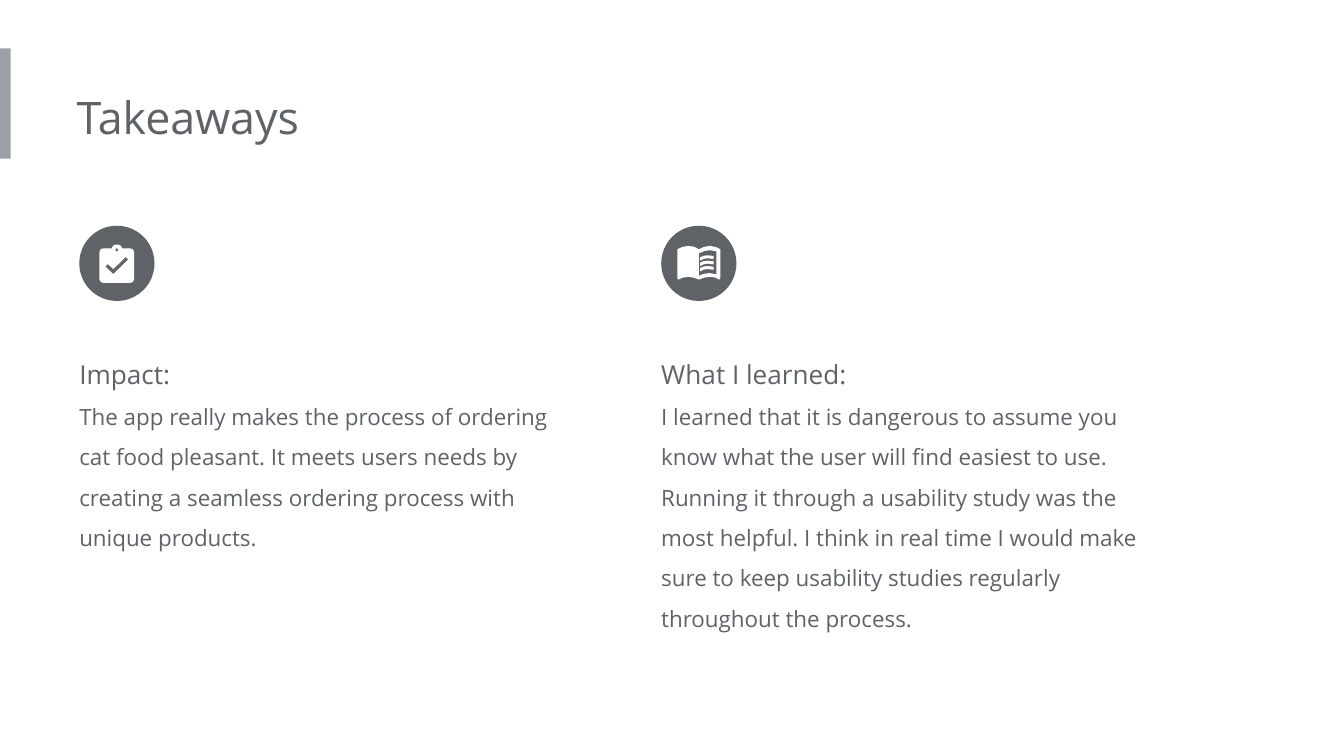
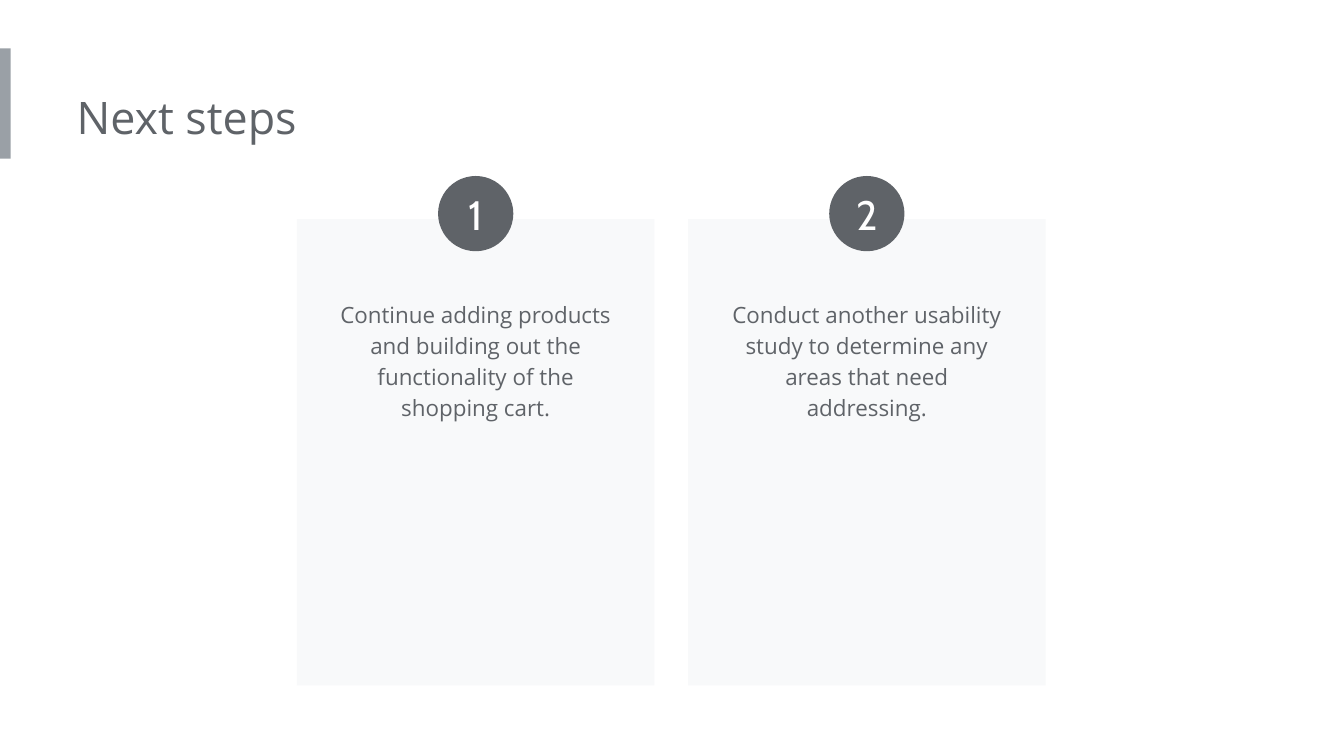
from dataclasses import dataclass

from pptx import Presentation
from pptx.dml.color import RGBColor
from pptx.enum.shapes import MSO_SHAPE
from pptx.enum.text import MSO_ANCHOR, MSO_AUTO_SIZE, PP_ALIGN
from pptx.util import Inches, Pt


@dataclass(frozen=True)
class Theme:
    ink: RGBColor = RGBColor.from_string("5F6368")
    band: RGBColor = RGBColor.from_string("9AA0A6")
    card: RGBColor = RGBColor.from_string("F8F9FA")
    white: RGBColor = RGBColor.from_string("FFFFFF")
    font: str = "Open Sans"
    number_font: str = "Cabin"
    title: int = 24
    number: int = 22
    heading: int = 14
    body: int = 12


THEME = Theme()

CLIPBOARD = [
    ((0.74, 1.82), [
        [(28, 28), (90, 28), (100, 10), (115, 2), (130, 0), (145, 2), (160, 10),
         (170, 28), (230, 28), (250, 36), (258, 56), (258, 257), (250, 277),
         (230, 285), (28, 285), (8, 277), (0, 257), (0, 56), (8, 36)],
        [(130, 26), (144, 40), (130, 54), (116, 40)],
        [(103, 220), (43, 163), (63, 145), (103, 183), (195, 93), (215, 111)],
    ]),
]
BOOK_COVER = [
    [(0, 25), (35, 8), (80, 0), (125, 6), (160, 25), (195, 8), (240, 0),
     (285, 8), (320, 25), (320, 240), (312, 250), (280, 235), (240, 230),
     (200, 236), (160, 250), (120, 236), (80, 230), (40, 236), (8, 250), (0, 240)],
    [(160, 55), (200, 38), (240, 32), (290, 40), (290, 212), (240, 202),
     (200, 207), (160, 222)],
]
BOOK_LINE = [[(0, 15), (25, 4), (55, 0), (100, 5), (100, 28), (55, 22), (25, 27), (0, 40)]]
BOOK = [((5.04, 1.83), BOOK_COVER)] + [
    ((5.21, 1.90 + 0.04 * row), BOOK_LINE) for row in range(3)
]

TAKEAWAYS = [
    ("Impact:",
     "The app really makes the process of ordering cat food pleasant. It meets "
     "users needs by creating a seamless ordering process with unique products.",
     1.67, CLIPBOARD),
    ("What I learned:",
     "I learned that it is dangerous to assume you know what the user will find "
     "easiest to use. Running it through a usability study was the most helpful. "
     "I think in real time I would make sure to keep usability studies regularly "
     "throughout the process.",
     2.27, BOOK),
]
NEXT_STEPS = [
    "Continue adding products and building out the functionality of the shopping cart.",
    "Conduct another usability study to determine any areas that need addressing.",
]

SLIDE_WIDTH = Inches(10)
SLIDE_HEIGHT = SLIDE_WIDTH * 9 // 16
TAKEAWAY_LEFT, TAKEAWAY_PITCH = 0.59, 4.33
CARD_LEFT, CARD_TOP, CARD_WIDTH, CARD_HEIGHT, CARD_GAP = 2.21, 1.63, 2.66, 3.47, 0.25
STEP_WIDTH, BADGE = 2.24, 0.56


def apply(target, formats):
    for name, value in formats.items():
        setattr(target, name, value)


def paint(shape, color):
    shape.shadow.inherit = False
    shape.fill.solid()
    shape.fill.fore_color.rgb = color
    shape.line.fill.background()


def add_block(slide, preset, box, color):
    block = slide.shapes.add_shape(preset, *map(Inches, box))
    paint(block, color)
    return block


def write(frame, lines, color=THEME.ink, font=THEME.font, **paragraph_formats):
    for index, (words, size) in enumerate(lines):
        paragraph = frame.add_paragraph() if index else frame.paragraphs[0]
        paragraph.text = words
        apply(paragraph, paragraph_formats)
        apply(paragraph.font, {"name": font, "size": Pt(size)})
        paragraph.font.color.rgb = color


def add_text(slide, box, lines, inset=0, **paragraph_formats):
    frame = slide.shapes.add_textbox(*map(Inches, box)).text_frame
    apply(frame, {
        "word_wrap": True,
        "auto_size": MSO_AUTO_SIZE.SHAPE_TO_FIT_TEXT,
        "margin_left": Inches(inset),
        "margin_right": Inches(0.1),
        "margin_top": Inches(0.1),
        "margin_bottom": Inches(0.1),
    })
    write(frame, lines, **paragraph_formats)


def add_icon(slide, parts):
    for origin, outlines in parts:
        builder = slide.shapes.build_freeform(*outlines[0][0], scale=Inches(0.01) / 10)
        for index, outline in enumerate(outlines):
            if index:
                builder.move_to(*outline[0])
            builder.add_line_segments(outline[1:], close=True)
        paint(builder.convert_to_shape(*map(Inches, origin)), THEME.white)


def add_titled_slide(deck, title):
    slide = deck.slides.add_slide(deck.slide_layouts[6])
    add_block(slide, MSO_SHAPE.RECTANGLE, (0, 0.36, 0.08, 0.82), THEME.band)
    add_text(slide, (0.57, 0.57, 5.39, 0.61), [(title, THEME.title)])
    return slide


def build_takeaways(deck):
    slide = add_titled_slide(deck, "Takeaways")
    for index, (heading, body, height, icon) in enumerate(TAKEAWAYS):
        left = TAKEAWAY_LEFT + index * TAKEAWAY_PITCH
        add_text(slide, (left, 2.45, 3.77, height),
                 [(heading, THEME.heading), (body, THEME.body)], line_spacing=1.5)
        add_block(slide, MSO_SHAPE.OVAL, (left, 1.68, BADGE, BADGE), THEME.ink)
        add_icon(slide, icon)


def build_next_steps(deck):
    slide = add_titled_slide(deck, "Next steps")
    for index, step in enumerate(NEXT_STEPS):
        left = CARD_LEFT + index * (CARD_WIDTH + CARD_GAP)
        center = left + CARD_WIDTH / 2
        add_block(slide, MSO_SHAPE.RECTANGLE,
                  (left, CARD_TOP, CARD_WIDTH, CARD_HEIGHT), THEME.card)
        add_text(slide, (center - STEP_WIDTH / 2, 2.11, STEP_WIDTH, 1.1),
                 [(step, THEME.body)], inset=0.1,
                 alignment=PP_ALIGN.CENTER, line_spacing=1.15)
        badge = add_block(slide, MSO_SHAPE.OVAL,
                          (center - BADGE / 2, 1.31, BADGE, BADGE), THEME.ink)
        apply(badge.text_frame, {
            "margin_left": 0, "margin_right": 0, "margin_top": 0, "margin_bottom": 0,
            "vertical_anchor": MSO_ANCHOR.MIDDLE,
        })
        write(badge.text_frame, [(str(index + 1), THEME.number)], THEME.white,
              THEME.number_font, alignment=PP_ALIGN.CENTER)


def main():
    deck = Presentation()
    apply(deck, {"slide_width": SLIDE_WIDTH, "slide_height": SLIDE_HEIGHT})
    build_takeaways(deck)
    build_next_steps(deck)
    deck.save("out.pptx")


if __name__ == "__main__":
    main()
